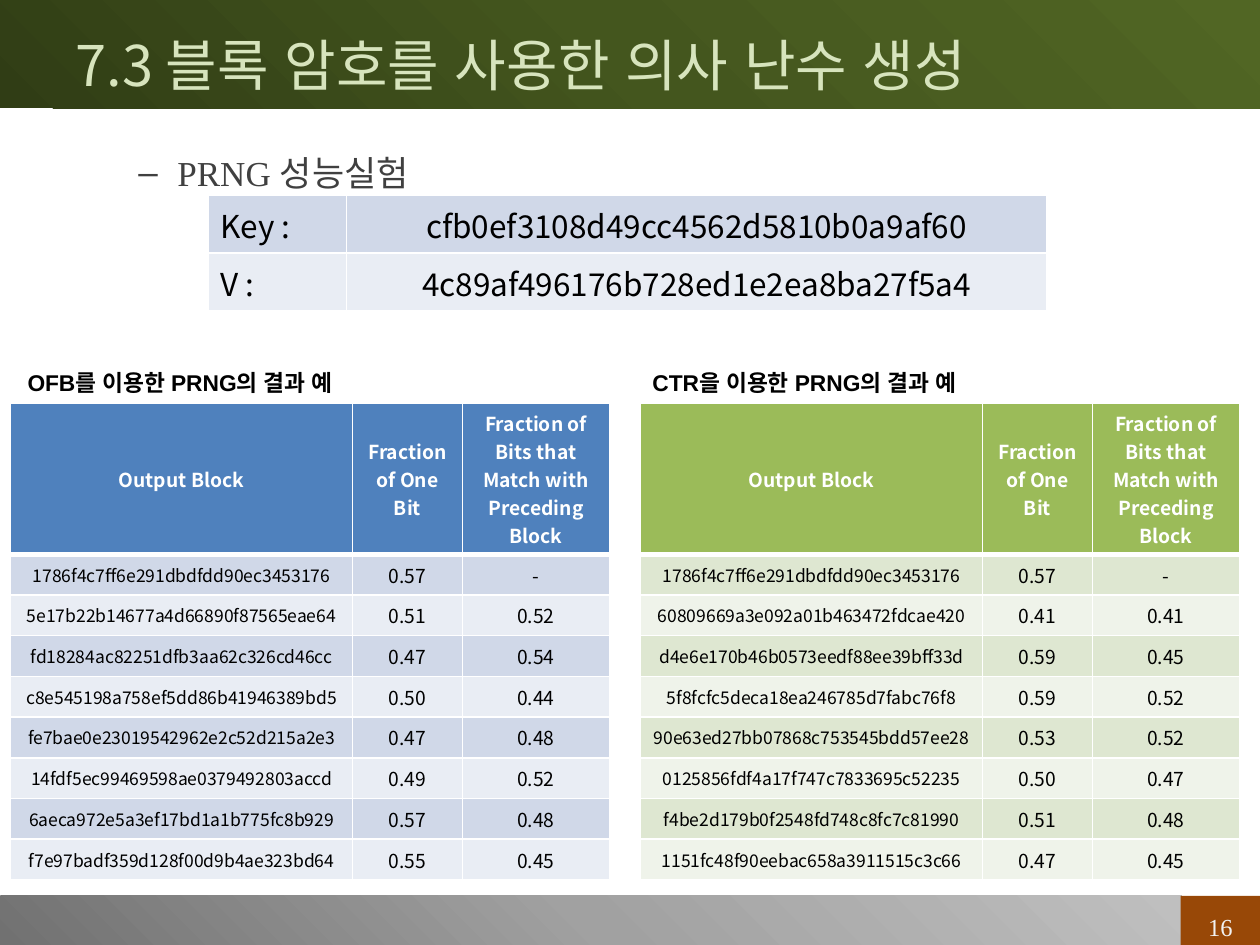
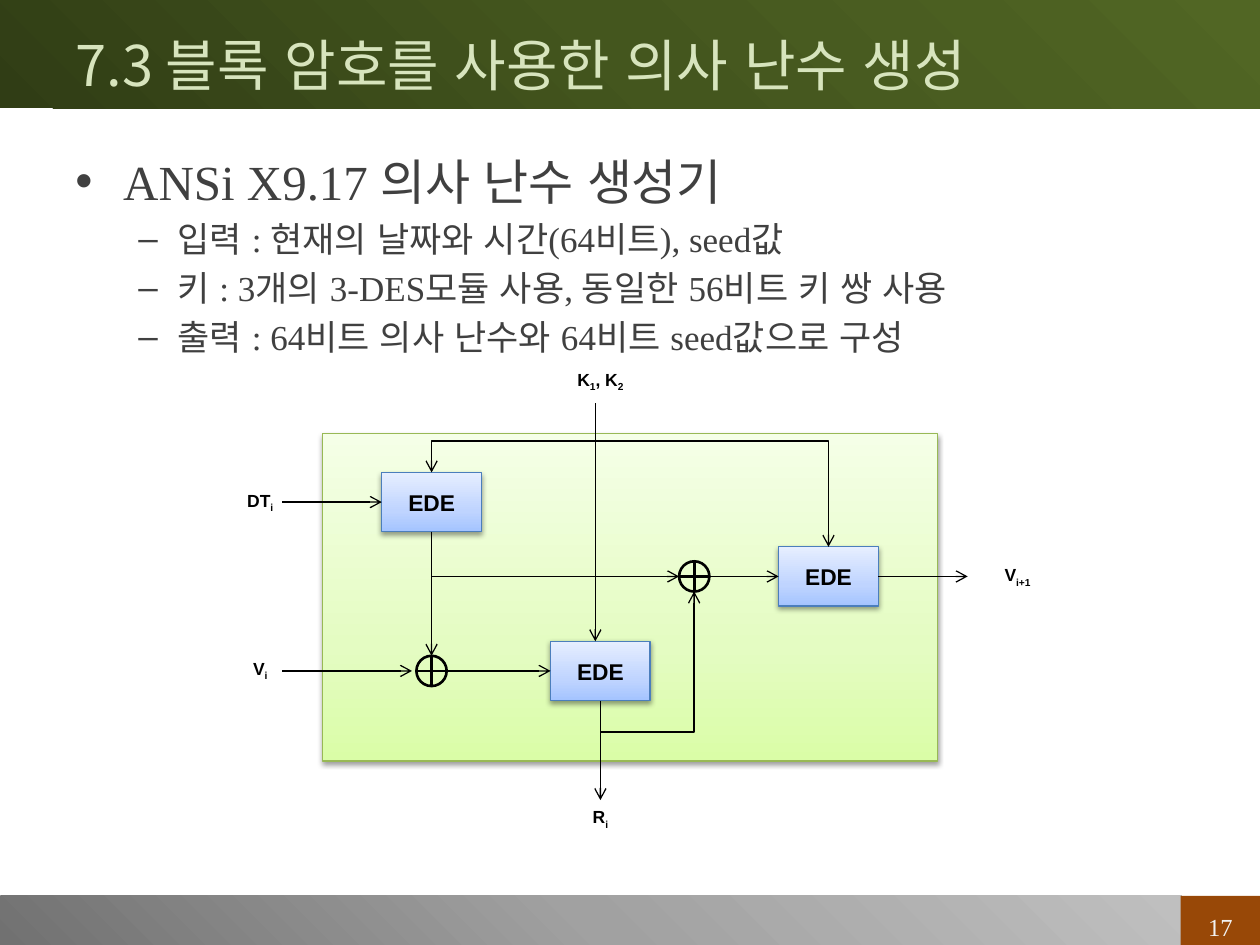
from copy import deepcopy
from dataclasses import dataclass
from typing import NamedTuple, Optional

from lxml.etree import SubElement
from pptx import Presentation
from pptx.dml.color import RGBColor
from pptx.enum.shapes import MSO_CONNECTOR, MSO_SHAPE
from pptx.enum.text import MSO_ANCHOR, PP_ALIGN
from pptx.oxml.ns import qn
from pptx.util import Inches, Pt

# The slide is a grid of 100 columns by 75 rows.
SLIDE_WIDTH, SLIDE_HEIGHT = Inches(10), Inches(7.5)
COLUMNS, ROWS = 100, 75

BLACK, WHITE = RGBColor(0, 0, 0), RGBColor(255, 255, 255)
TITLE_GREEN = RGBColor(0xD7, 0xE4, 0xBD)
BODY_GREY = RGBColor(0x40, 0x40, 0x40)
NUMBER_GREY = RGBColor(0xF2, 0xF2, 0xF2)
NUMBER_BROWN = RGBColor(0x98, 0x48, 0x07)
TABLE_BLUE, BLUE_ODD, BLUE_EVEN = (RGBColor.from_string(c) for c in ("4F81BD", "D0D8E8", "E9EDF4"))
TABLE_GREEN, GREEN_ODD, GREEN_EVEN = (RGBColor.from_string(c) for c in ("9BBB59", "DEE7D1", "EFF3EA"))
BOX_EDGE, FRAME_EDGE = RGBColor(0x4B, 0x7E, 0xBC), RGBColor(0x98, 0xB9, 0x55)

SANS, SERIF, LABEL = "Noto Sans CJK KR", "Times New Roman", "Arial"
TITLE = "7.3 블록 암호를 사용한 의사 난수 생성"
HEADINGS = ["Output Block", "Fraction of One Bit",
            "Fraction of Bits that Match with Preceding Block"]


class Area(NamedTuple):
    left: float
    top: float
    width: float
    height: float

    def lengths(self) -> tuple:
        return col(self.left), row(self.top), col(self.width), row(self.height)


@dataclass
class Style:
    font: str
    size: float
    color: RGBColor = BLACK
    bold: bool = False
    align: PP_ALIGN = PP_ALIGN.LEFT


@dataclass
class Gradient:
    angle: float
    stops: tuple


@dataclass
class Bullet:
    mark: str
    margin: float
    hang: float
    level: int
    size: float


@dataclass
class ResultTable:
    left: float
    caption_left: float
    caption: str
    colors: tuple
    results: list


class Arrow(NamedTuple):
    start: tuple
    end: tuple
    start_box: Optional[str] = None
    start_side: int = 0
    end_box: Optional[str] = None
    end_side: int = 0


FOOTER_GRADIENT = Gradient(45, ((0, "717171"), (0.5, "A1A1A1"), (1, "BFBFBF")))
HEADER_GRADIENT = Gradient(45, ((0, "303D15"), (0.5, "44561E"), (1, "516624")))
FRAME_GRADIENT = Gradient(90, ((0, "DAFDA7"), (0.35, "E4FCC2"), (1, "F5FFE7")))
BOX_GRADIENT = Gradient(90, ((0, "A4C4FF"), (0.35, "BFD4FF"), (1, "E6EEFF")))
TOPIC = Bullet("•", 3.8, 3.8, 0, 28)
DETAIL = Bullet("–", 8.1, 3.1, 1, 20)
CAPTION = Style(LABEL, 13, bold=True)
BOX_TEXT = Style(LABEL, 13, bold=True, align=PP_ALIGN.CENTER)
SIGNAL_TEXT = Style(LABEL, 10, bold=True, align=PP_ALIGN.CENTER)

RESULT_TABLES = [
    ResultTable(0.8, 1.2, "OFB를 이용한 PRNG의 결과 예", (TABLE_BLUE, BLUE_ODD, BLUE_EVEN), [
        ("1786f4c7ff6e291dbdfdd90ec3453176", "0.57", "-"),
        ("5e17b22b14677a4d66890f87565eae64", "0.51", "0.52"),
        ("fd18284ac82251dfb3aa62c326cd46cc", "0.47", "0.54"),
        ("c8e545198a758ef5dd86b41946389bd5", "0.50", "0.44"),
        ("fe7bae0e23019542962e2c52d215a2e3", "0.47", "0.48"),
        ("14fdf5ec99469598ae0379492803accd", "0.49", "0.52"),
        ("6aeca972e5a3ef17bd1a1b775fc8b929", "0.57", "0.48"),
        ("f7e97badf359d128f00d9b4ae323bd64", "0.55", "0.45")]),
    ResultTable(50.8, 50.8, "CTR을 이용한 PRNG의 결과 예", (TABLE_GREEN, GREEN_ODD, GREEN_EVEN), [
        ("1786f4c7ff6e291dbdfdd90ec3453176", "0.57", "-"),
        ("60809669a3e092a01b463472fdcae420", "0.41", "0.41"),
        ("d4e6e170b46b0573eedf88ee39bff33d", "0.59", "0.45"),
        ("5f8fcfc5deca18ea246785d7fabc76f8", "0.59", "0.52"),
        ("90e63ed27bb07868c753545bdd57ee28", "0.53", "0.52"),
        ("0125856fdf4a17f747c7833695c52235", "0.50", "0.47"),
        ("f4be2d179b0f2548fd748c8fc7c81990", "0.51", "0.48"),
        ("1151fc48f90eebac658a3911515c3c66", "0.47", "0.45")]),
]

BOXES = {"date": (30.3, 37.5), "random": (43.7, 50.9), "seed": (61.8, 43.4)}
XORS = [(53.9, 44.55), (33.05, 52.05)]
# Label texts alternate between normal and subscript.
SIGNALS = [((43.7, 28.8), ("K", "1", ", K", "2")), ((76.8, 44.3), ("V", "i+1")),
           ((16.7, 38.4), ("DT", "i")), ((16.7, 51.7), ("V", "i")),
           ((43.7, 63.5), ("R", "i"))]
ARROWS = [
    Arrow((34.25, 42.2), (34.25, 52.05), start_box="date", start_side=2),
    Arrow((35.45, 53.25), (43.7, 53.25), end_box="random", end_side=1),
    Arrow((34.25, 45.75), (53.9, 45.75)),
    Arrow((56.3, 45.75), (61.8, 45.75), end_box="seed", end_side=1),
    Arrow((47.25, 32), (47.25, 50.9)),
    Arrow((69.7, 45.75), (76.8, 45.75), start_box="seed", start_side=3),
    Arrow((22.4, 39.85), (30.3, 39.85), end_box="date", end_side=1),
    Arrow((22.4, 53.25), (32.7, 53.25)),
    Arrow((47.65, 55.6), (47.65, 63.5), start_box="random", start_side=2),
]


def col(count: float) -> int:
    return round(SLIDE_WIDTH * count / COLUMNS)


def row(count: float) -> int:
    return round(SLIDE_HEIGHT * count / ROWS)


def format_runs(para, style: Style) -> None:
    """Format all runs; Korean letters take a sans serif in every style."""
    para.alignment = style.align
    for span in para.runs:
        span.font.size = Pt(style.size)
        span.font.bold = style.bold
        span.font.color.rgb = style.color
        span.font.name = style.font
        SubElement(span.font._element, qn("a:ea"), typeface=LABEL)


def add_text(page, area: Area, text: str, style: Style, anchor=MSO_ANCHOR.TOP):
    box = page.shapes.add_textbox(*area.lengths())
    frame = box.text_frame
    frame.word_wrap = True
    frame.vertical_anchor = anchor
    frame.text = text
    format_runs(frame.paragraphs[0], style)
    return box


def add_block(page, area: Area, gradient: Optional[Gradient] = None):
    """Add a rectangle without outline or shadow."""
    block = page.shapes.add_shape(MSO_SHAPE.RECTANGLE, *area.lengths())
    block.shadow.inherit = False
    block.line.fill.background()
    if gradient:
        block.fill.gradient()
        stop_list = block.element.spPr.find(qn("a:gradFill")).find(qn("a:gsLst"))
        stop_list.append(deepcopy(stop_list[0]))
        for stop, (position, color) in zip(block.fill.gradient_stops, gradient.stops):
            stop.position = position
            stop.color.rgb = RGBColor.from_string(color)
        block.fill.gradient_angle = gradient.angle
    return block


def add_raised_block(page, area: Area, gradient: Gradient, edge: RGBColor):
    block = add_block(page, area, gradient)
    block.line.color.rgb = edge
    block.line.width = Pt(0.75)
    effects = block.element.spPr.find(qn("a:effectLst"))
    shadow = SubElement(effects, qn("a:outerShdw"), blurRad=str(Pt(3.1)),
                        dist=str(Pt(1.6)), dir="5400000", rotWithShape="0")
    color = SubElement(shadow, qn("a:srgbClr"), val=str(BLACK))
    SubElement(color, qn("a:alpha"), val="38000")
    return block


def add_page(deck, number: int):
    page = deck.slides.add_slide(deck.slide_layouts[6])
    add_block(page, Area(0, 71.1, 93.8, 3.9), FOOTER_GRADIENT)
    add_block(page, Area(0, 0, 100, 8.6), HEADER_GRADIENT)
    corner = add_block(page, Area(93.7, 71.1, 6.3, 3.9))
    corner.fill.solid()
    corner.fill.fore_color.rgb = NUMBER_BROWN
    add_text(page, Area(93.7, 71.9, 6.3, 3.2), str(number),
             Style(SERIF, 14, NUMBER_GREY, align=PP_ALIGN.CENTER))
    add_text(page, Area(5, 1.6, 90, 7), TITLE, Style(SANS, 32, TITLE_GREEN), MSO_ANCHOR.MIDDLE)
    return page


def add_body(page, lines: list) -> None:
    frame = page.shapes.add_textbox(*Area(5, 11.7, 90, 55.3).lengths()).text_frame
    frame.word_wrap = True
    frame.margin_top = row(0.3)
    for index, (bullet, text) in enumerate(lines):
        para = frame.add_paragraph() if index else frame.paragraphs[0]
        para.text = text
        para.level = bullet.level
        properties = para._p.get_or_add_pPr()
        properties.set("marL", str(col(bullet.margin)))
        properties.set("indent", str(-col(bullet.hang)))
        SubElement(properties, qn("a:buFont"), typeface=LABEL)
        SubElement(properties, qn("a:buChar"), char=bullet.mark)
        para.space_before = Pt(4 if index else 0)
        format_runs(para, Style(SERIF, bullet.size, BODY_GREY))


def fill_cell(cell, text: str, style: Style, fill: RGBColor, bottom: float = 1) -> None:
    for side, width in (("L", 1), ("R", 1), ("T", 1), ("B", bottom)):
        border = SubElement(cell._tc.get_or_add_tcPr(), qn(f"a:ln{side}"), w=str(Pt(width)))
        SubElement(SubElement(border, qn("a:solidFill")), qn("a:srgbClr"), val=str(WHITE))
    cell.fill.solid()
    cell.fill.fore_color.rgb = fill
    cell.text = text
    format_runs(cell.text_frame.paragraphs[0], style)


def add_plain_table(page, left: float, top: float, widths: tuple, heights: list):
    area = Area(left, top, sum(widths), sum(heights))
    table = page.shapes.add_table(len(heights), len(widths), *area.lengths()).table
    table.first_row = table.horz_banding = False
    for column, width in zip(table.columns, widths):
        column.width = col(width)
    for line, height in zip(table.rows, heights):
        line.height = row(height)
    return table


def add_results(page, result: ResultTable) -> None:
    heights = [12] + [3.23] * len(result.results)
    table = add_plain_table(page, result.left, 32, (27.2, 8.7, 11.7), heights)
    head, odd, even = result.colors
    for r, values in enumerate([HEADINGS, *result.results]):
        fill = head if r == 0 else odd if r % 2 else even
        for c, value in enumerate(values):
            style = Style(SANS, 10 if r and c == 0 else 11, BLACK if r else WHITE,
                          bold=r == 0, align=PP_ALIGN.CENTER)
            cell = table.cell(r, c)
            fill_cell(cell, value, style, fill, bottom=1 if r else 3)
            cell.vertical_anchor = MSO_ANCHOR.MIDDLE
    add_text(page, Area(result.caption_left, 28.8, 40.9, 3.2), result.caption, CAPTION)


def add_line(shapes, start: tuple, end: tuple, width: float = 0.75,
             arrows: tuple = (), kind=MSO_CONNECTOR.STRAIGHT):
    line = shapes.add_connector(kind, col(start[0]), row(start[1]), col(end[0]), row(end[1]))
    line.line.color.rgb = BLACK
    line.line.width = Pt(width)
    for end_name in arrows:
        SubElement(line.line._get_or_add_ln(), qn(f"a:{end_name}"), type="arrow")
    SubElement(line._element.spPr, qn("a:effectLst"))
    return line


def add_xor(page, left: float, top: float, size: float = 2.4) -> None:
    shapes = page.shapes.add_group_shape().shapes
    circle = shapes.add_shape(MSO_SHAPE.OVAL, *Area(left, top, size, size).lengths())
    circle.shadow.inherit = False
    circle.fill.background()
    circle.line.color.rgb = BLACK
    circle.line.width = Pt(1.5)
    middle_x, middle_y = left + size / 2, top + size / 2
    add_line(shapes, (middle_x, top), (middle_x, top + size), 1.5)
    add_line(shapes, (left, middle_y), (left + size, middle_y), 1.5)


def add_generator(page) -> None:
    """Draw the ANSI X9.17 generator with its signals."""
    add_raised_block(page, Area(25.6, 34.4, 48.8, 26), FRAME_GRADIENT, FRAME_EDGE)
    boxes = {}
    for name, place in BOXES.items():
        box = boxes[name] = add_raised_block(page, Area(*place, 7.9, 4.7), BOX_GRADIENT, BOX_EDGE)
        box.text_frame.text = "EDE"
        box.text_frame.vertical_anchor = MSO_ANCHOR.MIDDLE
        format_runs(box.text_frame.paragraphs[0], BOX_TEXT)
    for place in XORS:
        add_xor(page, *place)
    for arrow in ARROWS:
        line = add_line(page.shapes, arrow.start, arrow.end, arrows=("tailEnd",))
        if arrow.start_box:
            line.begin_connect(boxes[arrow.start_box], arrow.start_side)
        if arrow.end_box:
            line.end_connect(boxes[arrow.end_box], arrow.end_side)
    for place, parts in SIGNALS:
        para = add_text(page, Area(*place, 7.9, 2.7), "", SIGNAL_TEXT).text_frame.paragraphs[0]
        for index, part in enumerate(parts):
            span = para.add_run()
            span.text = part
            if index % 2:
                span.font._element.set("baseline", "-25000")
        format_runs(para, SIGNAL_TEXT)

    feedback = add_line(page.shapes, (47.65, 58.1), (55.1, 46.95), arrows=("tailEnd",),
                        kind=MSO_CONNECTOR.ELBOW)
    feedback._element.spPr.find(qn("a:prstGeom")).set("prst", "bentConnector2")
    # The key line leaves and enters from above, so its elbow is turned a quarter.
    keys = add_line(page.shapes, (47.05, 56.2), (52.95, 24.7), arrows=("headEnd", "tailEnd"),
                    kind=MSO_CONNECTOR.ELBOW)
    properties = keys._element.spPr
    properties.find(qn("a:xfrm")).set("rot", "16200000")
    adjustments = properties.find(qn("a:prstGeom")).find(qn("a:avLst"))
    SubElement(adjustments, qn("a:gd"), name="adj1", fmla="val 142200")


def main() -> None:
    deck = Presentation()
    deck.slide_width, deck.slide_height = SLIDE_WIDTH, SLIDE_HEIGHT

    page = add_page(deck, 16)
    add_body(page, [(DETAIL, "PRNG 성능실험")])
    seeds = [("Key :", "cfb0ef3108d49cc4562d5810b0a9af60"),
             ("V :", "4c89af496176b728ed1e2ea8ba27f5a4")]
    table = add_plain_table(page, 16.5, 15.5, (11, 55.6), [4.6, 4.6])
    for r, (values, fill) in enumerate(zip(seeds, (BLUE_ODD, BLUE_EVEN))):
        for c, align in enumerate((PP_ALIGN.LEFT, PP_ALIGN.CENTER)):
            fill_cell(table.cell(r, c), values[c], Style(SANS, 18, align=align), fill)
    for result in RESULT_TABLES:
        add_results(page, result)

    page = add_page(deck, 17)
    add_body(page, [(TOPIC, "ANSi X9.17 의사 난수 생성기"),
                    (DETAIL, "입력 : 현재의 날짜와 시간(64비트), seed값"),
                    (DETAIL, "키 : 3개의 3-DES모듈 사용, 동일한 56비트 키 쌍 사용"),
                    (DETAIL, "출력 : 64비트 의사 난수와 64비트 seed값으로 구성")])
    add_generator(page)
    deck.save("out.pptx")


if __name__ == "__main__":
    main()
